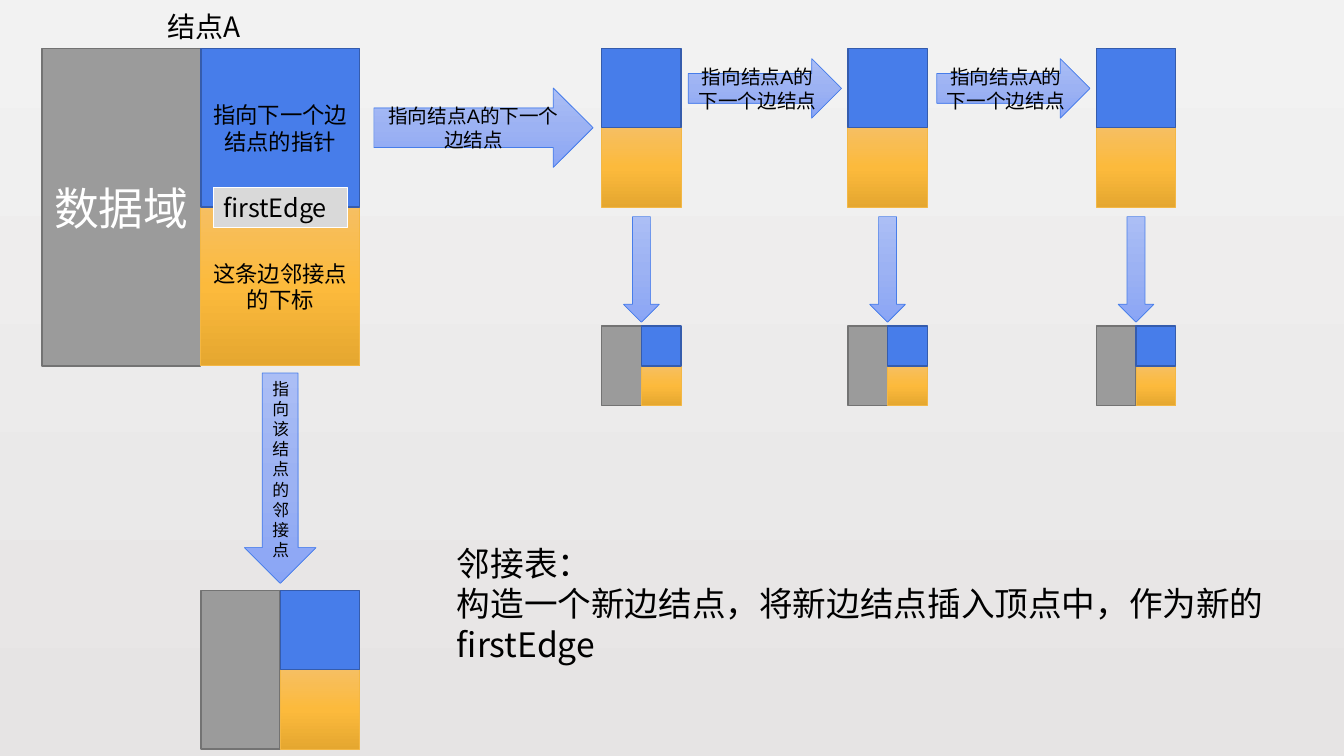
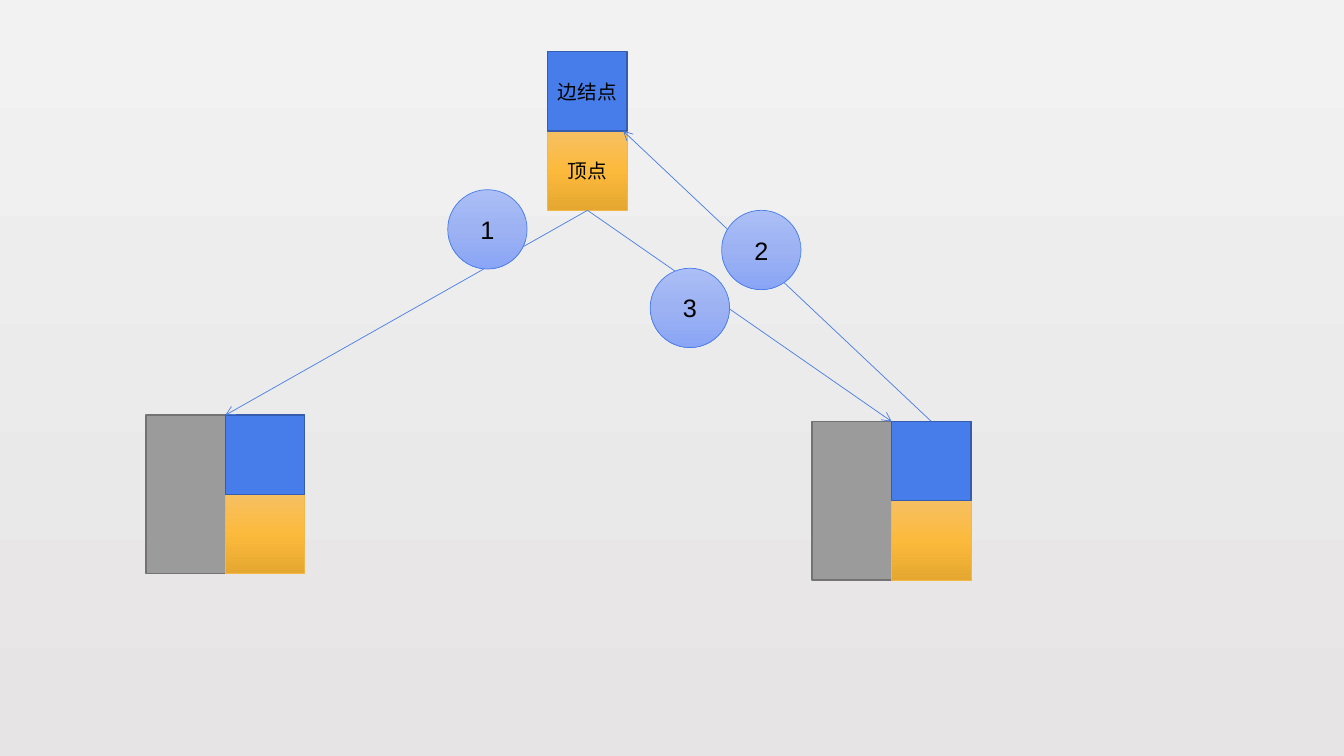
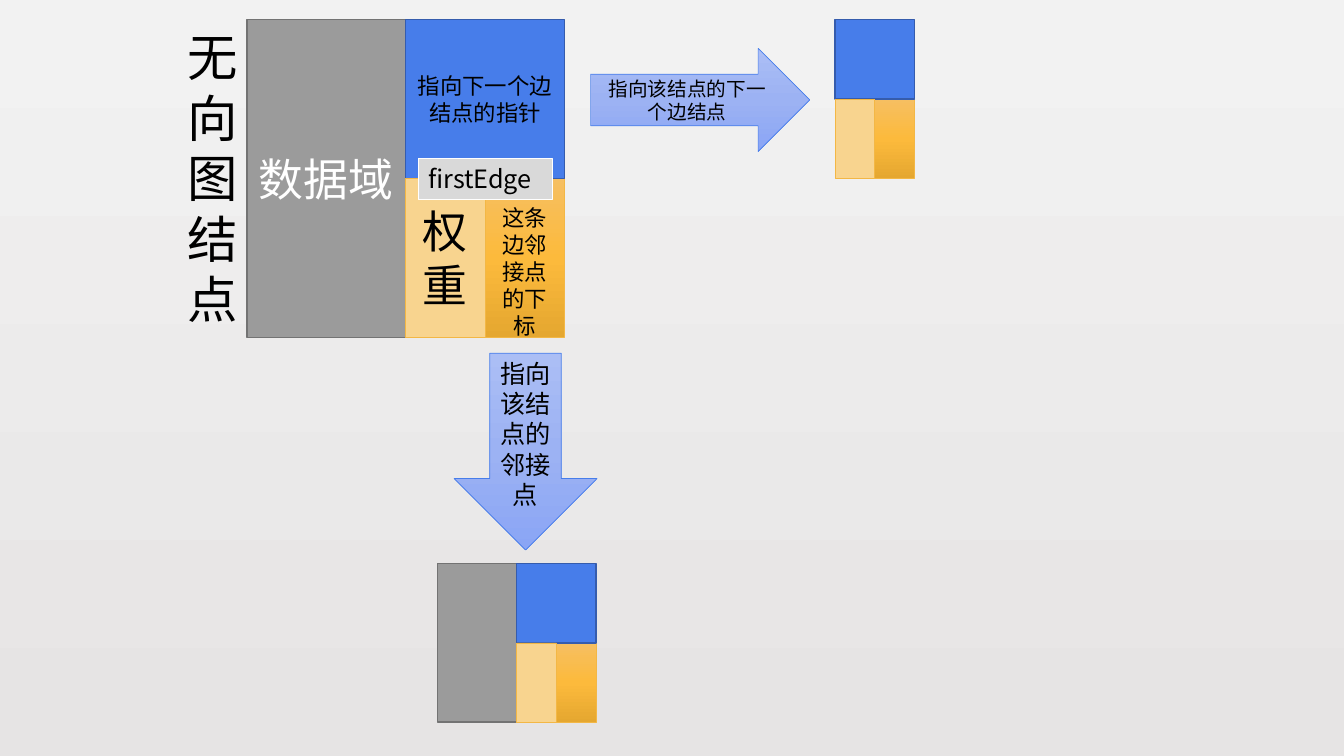
"""Adjacency list diagrams: vertices, edge nodes and the pointers between them."""
import copy

import lxml.etree
import pptx
import pptx.dml.color
import pptx.enum.shapes
import pptx.enum.text
import pptx.oxml.ns
import pptx.util

SHAPES = pptx.enum.shapes.MSO_SHAPE
ALIGN = pptx.enum.text.PP_ALIGN
ANCHOR = pptx.enum.text.MSO_ANCHOR
qn = pptx.oxml.ns.qn

CELL_CM = 2  # every length below is counted in square grid cells
SANS, HAN = "Arial", "Noto Sans CJK SC"
BLACK, WHITE = "000000", "FFFFFF"
BACKDROP = ("F2F2F2", "E6E4E4")

# Each style is fill, line colour, line width; three colours make a gradient.
DATA = ("9B9B9B", "737373", 1)
EDGE = ("477DEA", "355CAD", 1)
INDEX = (("F6BF62", "FCBA3C", "E5A730"), "F3B745", 0.5)
WEIGHT = ("F8D48F", "F3B745", 0.5)
POINTER = (("ABBEF5", "9CB2F3", "8AA5F5"), "477DEA", 0.5)
TAG = ("D9D9D9", WHITE, 0.75)

POINTER_TEXT = "指向下一个边结点的指针"
INDEX_TEXT = "这条边邻接点的下标"
NEXT_EDGE_TEXT = "指向结点A的下一个边结点"
NEIGHBOUR_TEXT = "指向该结点的邻接点"


def cells(*counts):
    """Turn counts of grid cells into lengths."""
    return [pptx.util.Cm(CELL_CM * count) for count in counts]


def color(code):
    """Turn a hex string into a colour."""
    return pptx.dml.color.RGBColor.from_string(code)


def paint_gradient(fill, first, last):
    """Fill from top to bottom between two colours."""
    fill.gradient()
    fill.gradient_angle = 270
    for stop, code, position in zip(fill.gradient_stops, (first, last), (0, 1)):
        stop.color.rgb = color(code)
        stop.position = position


def paint(shape, style):
    """Give a shape its fill and outline."""
    fill, line, width = style
    shape.shadow.inherit = False
    if isinstance(fill, str):
        shape.fill.solid()
        shape.fill.fore_color.rgb = color(fill)
    else:
        first, middle, last = fill
        paint_gradient(shape.fill, first, last)
        stops = shape._element.spPr.find(".//" + qn("a:gsLst"))
        stops.insert(1, copy.deepcopy(stops[0]))
        shape.fill.gradient_stops[1].color.rgb = color(middle)
        shape.fill.gradient_stops[1].position = 0.5
    shape.line.color.rgb = color(line)
    shape.line.width = pptx.util.Pt(width)


def write(shape, text, size, font=HAN, ink=BLACK, centred=True):
    """Set and format text: centred in a shape, or top left in a growing box."""
    frame = shape.text_frame
    frame.text = text
    frame.word_wrap = True
    frame.vertical_anchor = ANCHOR.MIDDLE if centred else ANCHOR.TOP
    if not centred:
        frame.auto_size = pptx.enum.text.MSO_AUTO_SIZE.SHAPE_TO_FIT_TEXT
    for para in frame.paragraphs:
        para.alignment = ALIGN.CENTER if centred else ALIGN.LEFT
        para.line_spacing = pptx.util.Pt(round(size * 1.2, 1))
        for span in para.runs:
            span.font.size = pptx.util.Pt(size)
            span.font.name = font
            span.font.color.rgb = color(ink)
            east_asian = lxml.etree.SubElement(span._r.get_or_add_rPr(), qn("a:ea"))
            east_asian.set("typeface", HAN)


def block(page, place, style, kind=SHAPES.RECTANGLE):
    """Draw one painted shape at left, top, width, height."""
    shape = page.shapes.add_shape(kind, *cells(*place))
    paint(shape, style)
    return shape


def note(page, place, text, size):
    """Add free text."""
    write(page.shapes.add_textbox(*cells(*place)), text, size, centred=False)


def edge_node(page, left, top, size, weighted=False):
    """Draw a pointer square over an index cell, which may share with a weight."""
    half = size / 2 if weighted else size
    index = block(page, (left + size - half, top + size, half, size), INDEX)
    edge = block(page, (left, top, size, size), EDGE)
    weight = block(page, (left, top + size, half, size), WEIGHT) if weighted else None
    return index, edge, weight


def vertex(page, left, top, size, weighted=False, data_columns=1):
    """Draw a data column with an edge node on its right."""
    data = block(page, (left, top, size * data_columns, 2 * size), DATA)
    return data, *edge_node(page, left + size, top, size, weighted)


def labelled_vertex(page, left, top, weighted=False):
    """Draw the large vertex that explains its fields."""
    data, index, edge, weight = vertex(page, left, top, 2, weighted)
    write(data, "数据域", 32, SANS, WHITE)
    write(index, INDEX_TEXT, 16)
    write(edge, POINTER_TEXT, 16)
    if weighted:
        write(weight, "权重", 32)
        index.text_frame.margin_top = pptx.util.Inches(0.32)
    tag = block(page, (left + 2.16, top + 1.75, 1.69, 0.51), TAG)
    write(tag, "firstEdge", 18, centred=False)


def right_arrow(page, place, text):
    """Draw a pointer to the next edge node."""
    write(block(page, place, POINTER, SHAPES.RIGHT_ARROW), text, 14, SANS)


def down_arrow(page, middle, top, width, height):
    """Draw a pointer to a neighbour, centred on a column."""
    place = (middle - width / 2, top, width, height)
    return block(page, place, POINTER, SHAPES.DOWN_ARROW)


def link(page, start, end):
    """Draw a thin line with an open arrowhead at its end."""
    line = page.shapes.add_connector(
        pptx.enum.shapes.MSO_CONNECTOR.STRAIGHT, *cells(*start, *end))
    line.line.color.rgb = color(POINTER[1])
    line.line.width = pptx.util.Pt(POINTER[2])
    head = lxml.etree.SubElement(line.line._get_or_add_ln(), qn("a:tailEnd"))
    head.set("type", "arrow")
    lxml.etree.SubElement(line._element.spPr, qn("a:effectLst"))


def step(page, left, top, number):
    """Draw a numbered circle."""
    circle = block(page, (left, top, 1, 1), POINTER, SHAPES.OVAL)
    write(circle, str(number), 18, SANS)


def adjacency_list(page):
    """Vertex A, its chain of edge nodes and their neighbours."""
    top = 0.61
    labelled_vertex(page, 0.53, top)
    vertex(page, 2.53, 7.44, 1)
    write(down_arrow(page, 3.53, 4.7, 0.9, 2.65), NEIGHBOUR_TEXT, 12, SANS)
    for order, left in enumerate((7.58, 10.68, 13.81)):
        edge_node(page, left, top, 1)
        if order == 0:
            place = (left - 2.87, top + 0.5, 2.76, 1)
        else:
            place = (left - 2.01, top + 0.13, 1.93, 0.75)
        right_arrow(page, place, NEXT_EDGE_TEXT)
        vertex(page, left, 4.11, 0.5)
        down_arrow(page, left + 0.5, 2.73, 0.45, 1.33)
    note(page, (5.63, 6.78, 10.59, 1.66),
         "邻接表:\n构造一个新边结点,将新边结点插入顶点中,作为新的firstEdge"
         .replace(":", "\uff1a").replace(",", "\uff0c"), 24)
    note(page, (1.98, 0.06, 1.25, 0.56), "结点A", 20)


def edge_insertion(page):
    """Three steps that link a new edge node with two vertices."""
    left_vertex, right_vertex, new_edge = (1.84, 5.23), (10.23, 5.31), (6.9, 0.65)
    vertex(page, *left_vertex, 1, data_columns=2)
    vertex(page, *right_vertex, 1, data_columns=2)
    index, edge, _ = edge_node(page, *new_edge, 1)
    write(index, "顶点", 14, SANS)
    write(edge, "边结点", 14, SANS)
    foot = (new_edge[0] + 0.5, new_edge[1] + 2)
    for left, top in (left_vertex, right_vertex):
        link(page, foot, (left + 1, top))
    link(page, (right_vertex[0] + 1.5, right_vertex[1]),
         (new_edge[0] + 0.95, new_edge[1] + 1))
    step(page, 5.64, 2.39, 1)
    step(page, 8.19, 3.38, 3)
    step(page, 9.09, 2.65, 2)


def undirected_node(page):
    """Weighted vertex of an undirected graph and what it points to."""
    top = 0.25
    right_arrow(page, (7.44, 0.61, 2.76, 1.3), "指向该结点的下一个边结点")
    note(page, (2.24, 0.27, 0.8, 3.98), "无向图结点", 36)
    write(down_arrow(page, 6.62, 4.45, 1.8, 2.48), NEIGHBOUR_TEXT, 18)
    labelled_vertex(page, 3.11, top, weighted=True)
    edge_node(page, 10.52, top, 1, weighted=True)
    vertex(page, 5.51, 7.1, 1, weighted=True)


def main():
    """Build the deck."""
    deck = pptx.Presentation()
    deck.slide_width = pptx.util.Inches(13.33)
    deck.slide_height = pptx.util.Inches(7.5)
    paint_gradient(deck.slide_master.background.fill, *BACKDROP)
    for draw in (adjacency_list, edge_insertion, undirected_node):
        draw(deck.slides.add_slide(deck.slide_layouts[6]))
    deck.save("out.pptx")


main()
